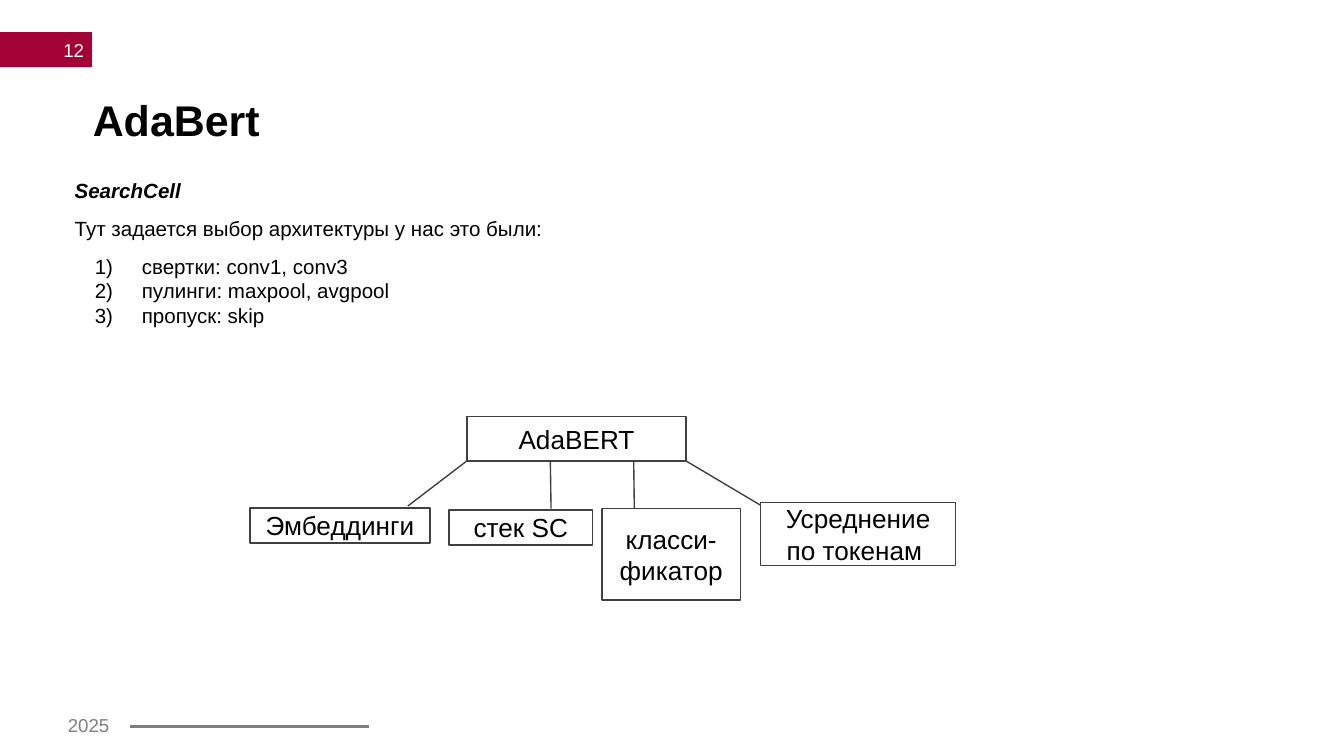
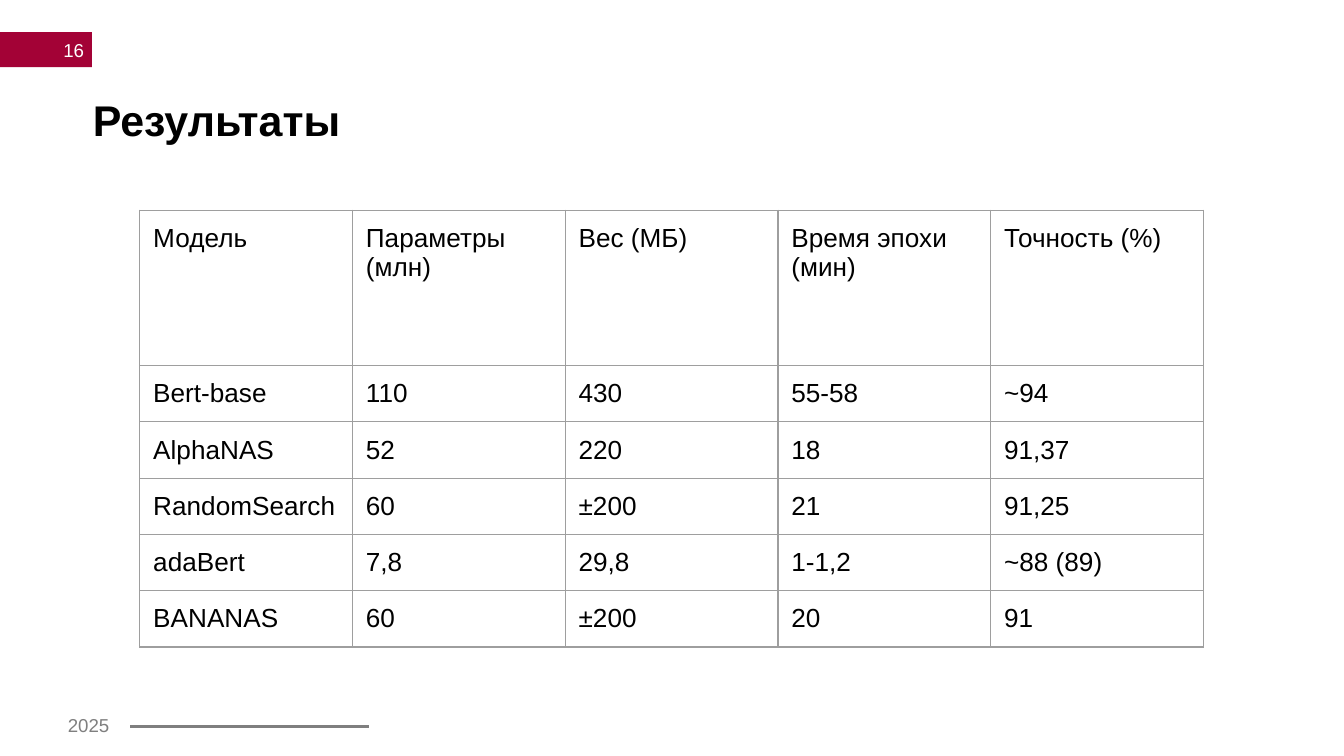
from lxml.etree import SubElement
from pptx import Presentation
from pptx.dml.color import RGBColor
from pptx.enum.shapes import MSO_CONNECTOR, MSO_SHAPE
from pptx.enum.text import MSO_ANCHOR, MSO_AUTO_SIZE, PP_ALIGN
from pptx.oxml.ns import qn
from pptx.util import Emu, Pt

PX_PER_INCH = 200
FONT = "Arial"
BLACK, WHITE = "000000", "FFFFFF"
CRIMSON, GREY = "A30236", "7F7F7F"
OUTLINE, GRID = "404040", "9E9E9E"
TITLE_BOX = (138, 148, 1478, 118)
BAND_BOX = (0, 48, 137, 52)
FOOTER_BOX = (87, 1054, 462, 48)


def px(n):
    return Emu(int(n * 914400 / PX_PER_INCH))


def color(hex_string):
    return RGBColor.from_string(hex_string)


def place(box):
    return [px(n) for n in box]


def setup_frame(tf, inset_x=0, inset_y=0, anchor=MSO_ANCHOR.TOP):
    tf.word_wrap = True
    tf.auto_size = MSO_AUTO_SIZE.NONE
    tf.vertical_anchor = anchor
    tf.margin_left = tf.margin_right = px(inset_x)
    tf.margin_top = tf.margin_bottom = px(inset_y)


def add_run(p, text, size, hex_string=BLACK, bold=False, italic=False):
    r = p.add_run()
    r.text = text
    r.font.name = FONT
    r.font.size = Pt(size)
    r.font.bold = bold
    r.font.italic = italic
    r.font.color.rgb = color(hex_string)


def add_label(s, box, text, hex_string, align=PP_ALIGN.LEFT, anchor=MSO_ANCHOR.TOP):
    tf = s.shapes.add_textbox(*place(box)).text_frame
    setup_frame(tf, 14, 8, anchor)
    p = tf.paragraphs[0]
    p.alignment = align
    add_run(p, text, 10, hex_string)


def add_box(s, box, fill):
    sp = s.shapes.add_shape(MSO_SHAPE.RECTANGLE, *place(box))
    sp.shadow.inherit = False
    sp.fill.solid()
    sp.fill.fore_color.rgb = color(fill)
    sp.line.fill.background()
    return sp


def add_line(s, start, end, hex_string, width):
    line = s.shapes.add_connector(MSO_CONNECTOR.STRAIGHT, *place(start + end))
    line.line.color.rgb = color(hex_string)
    line.line.width = Pt(width)
    SubElement(line._element.spPr, qn("a:effectLst"))


def number_band(s, box, number):
    x, y, w, h = box
    add_box(s, box, CRIMSON)
    add_label(s, (x - 5, y - 4, w + 7, h + 8), number, WHITE,
              PP_ALIGN.RIGHT, MSO_ANCHOR.MIDDLE)


def footer(s, box):
    x, y, w, h = box
    add_label(s, (x, y, 96, h), "2025", GREY)
    add_line(s, (x + 107, y + 27), (x + w, y + 27), GREY, 1.5)


def new_slide(prs, number, title):
    s = prs.slides.add_slide(prs.slide_layouts[5])
    number_band(s, BAND_BOX, number)
    footer(s, FOOTER_BOX)
    sp = s.shapes.title
    sp.left, sp.top, sp.width, sp.height = place(TITLE_BOX)
    setup_frame(sp.text_frame)
    p = sp.text_frame.paragraphs[0]
    p.alignment = PP_ALIGN.LEFT
    p.line_spacing = 0.9
    add_run(p, title, 23, bold=True)
    return s


def number_paragraph(p):
    pPr = p._p.get_or_add_pPr()
    pPr.set("marL", str(px(100)))
    pPr.set("indent", str(px(-70)))
    SubElement(SubElement(pPr, qn("a:buClr")), qn("a:srgbClr"), val=BLACK)
    SubElement(pPr, qn("a:buFont"), typeface=FONT)
    SubElement(pPr, qn("a:buAutoNum"), type="arabicParenR")


def search_cell_text(s, box, heading, intro, choices):
    tf = s.shapes.add_textbox(*place(box)).text_frame
    setup_frame(tf)
    p = tf.paragraphs[0]
    p.space_before = Pt(7)
    add_run(p, heading, 11, bold=True, italic=True)
    p = tf.add_paragraph()
    p.space_before = Pt(7)
    add_run(p, intro, 11)
    for i, choice in enumerate(choices):
        p = tf.add_paragraph()
        p.space_before = Pt(0 if i else 7)
        number_paragraph(p)
        add_run(p, choice, 11)


def architecture_tree(s, box, nodes, branches):
    x, y = box[:2]
    for (dx, dy, w, h), text in nodes:
        sp = add_box(s, (x + dx, y + dy, w, h), WHITE)
        sp.line.color.rgb = color(OUTLINE)
        sp.line.width = Pt(0.75)
        setup_frame(sp.text_frame, 20, 20, MSO_ANCHOR.MIDDLE)
        p = sp.text_frame.paragraphs[0]
        p.alignment = PP_ALIGN.CENTER
        add_run(p, text, 14)
    for x1, y1, x2, y2 in branches:
        add_line(s, (x + x1, y + y1), (x + x2, y + y2), OUTLINE, 0.75)


def border_cell(cell):
    tcPr = cell._tc.get_or_add_tcPr()
    for side in ("lnL", "lnR", "lnT", "lnB"):
        ln = SubElement(tcPr, qn(f"a:{side}"), w=str(Pt(0.75)))
        SubElement(SubElement(ln, qn("a:solidFill")), qn("a:srgbClr"), val=GRID)


def results_table(s, box, rows, header_height):
    n_rows, n_cols = len(rows), len(rows[0])
    table = s.shapes.add_table(n_rows, n_cols, *place(box)).table
    table.first_row = table.horz_banding = False
    row_height = (box[3] - header_height) / (n_rows - 1)
    for column in table.columns:
        column.width = px(box[2] / n_cols)
    for i, values in enumerate(rows):
        table.rows[i].height = px(row_height if i else header_height)
        for j, value in enumerate(values):
            cell = table.cell(i, j)
            cell.margin_left = cell.margin_right = px(20)
            cell.margin_top = cell.margin_bottom = px(20)
            border_cell(cell)
            cell.fill.background()
            add_run(cell.text_frame.paragraphs[0], value, 14)


def adabert_slide(prs):
    s = new_slide(prs, "12", "AdaBert")
    search_cell_text(
        s, (111, 265, 1730, 714), "SearchCell",
        "Тут задается выбор архитектуры у нас это были:",
        ["свертки: conv1, conv3", "пулинги: maxpool, avgpool", "пропуск: skip"])
    nodes = [
        ((323, 0, 326, 66), "AdaBERT"),
        ((0, 136, 268, 52), "Эмбеддинги"),
        ((296, 139, 214, 52), "стек SC"),
        ((524, 137, 206, 136), "класси-фикатор"),
        ((760, 128, 290, 94), "Усреднение по токенам "),
    ]
    branches = [(324, 65, 235, 133), (447, 66, 448, 137),
                (571, 66, 572, 137), (649, 66, 760, 132)]
    architecture_tree(s, (372, 620, 1050, 273), nodes, branches)


def results_slide(prs):
    s = new_slide(prs, "16", "Результаты")
    rows = [
        ("Модель", "Параметры (млн)", "Вес (МБ)", "Время эпохи (мин)", "Точность (%)"),
        ("Bert-base", "110", "430", "55-58", "~94"),
        ("AlphaNAS", "52", "220", "18", "91,37"),
        ("RandomSearch", "60", "±200", "21", "91,25"),
        ("adaBert", "7,8", "29,8", "1-1,2", "~88 (89)"),
        ("BANANAS", "60", "±200", "20", "91"),
    ]
    results_table(s, (208, 313, 1583, 649), rows, 231)


def main():
    prs = Presentation()
    prs.slide_width, prs.slide_height = px(2000), px(1125)
    adabert_slide(prs)
    results_slide(prs)
    prs.save("out.pptx")


if __name__ == "__main__":
    main()
